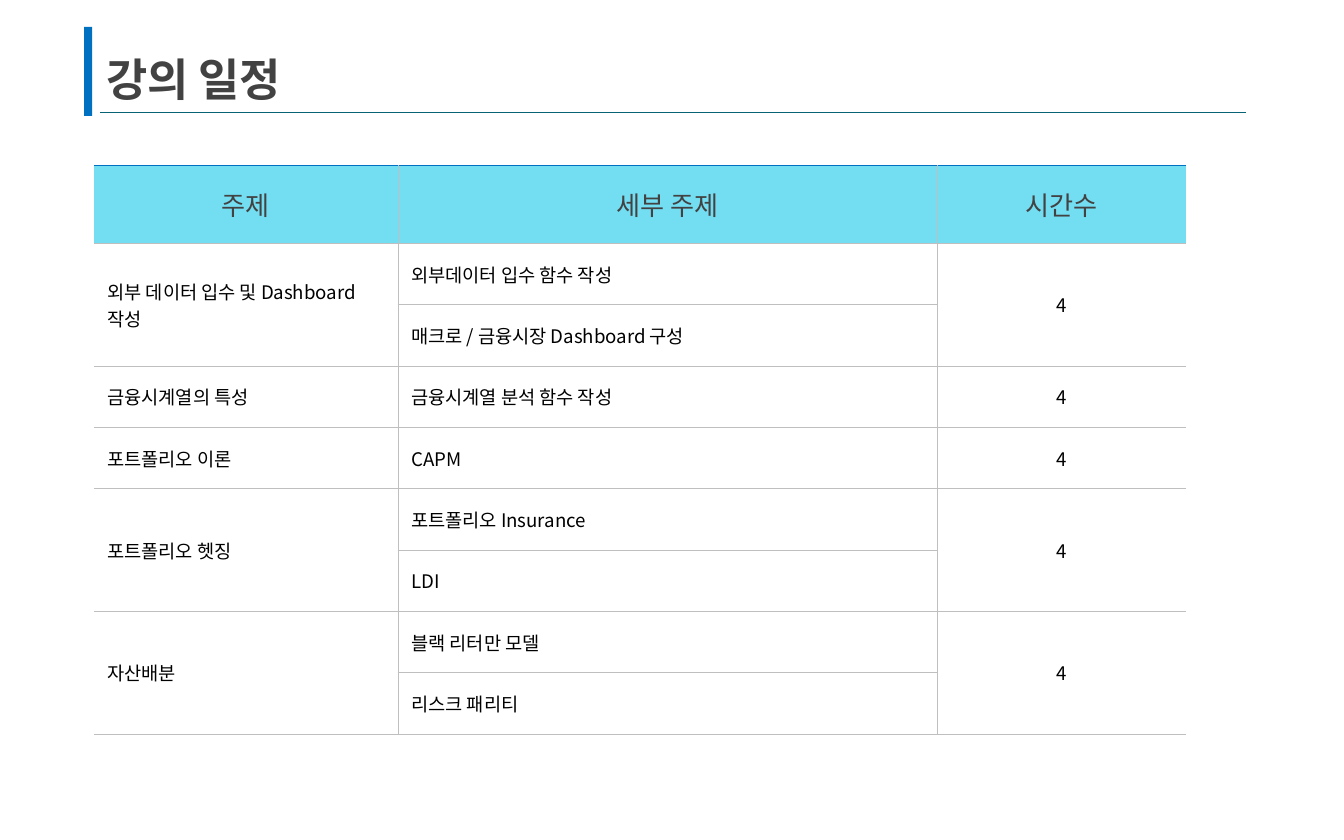
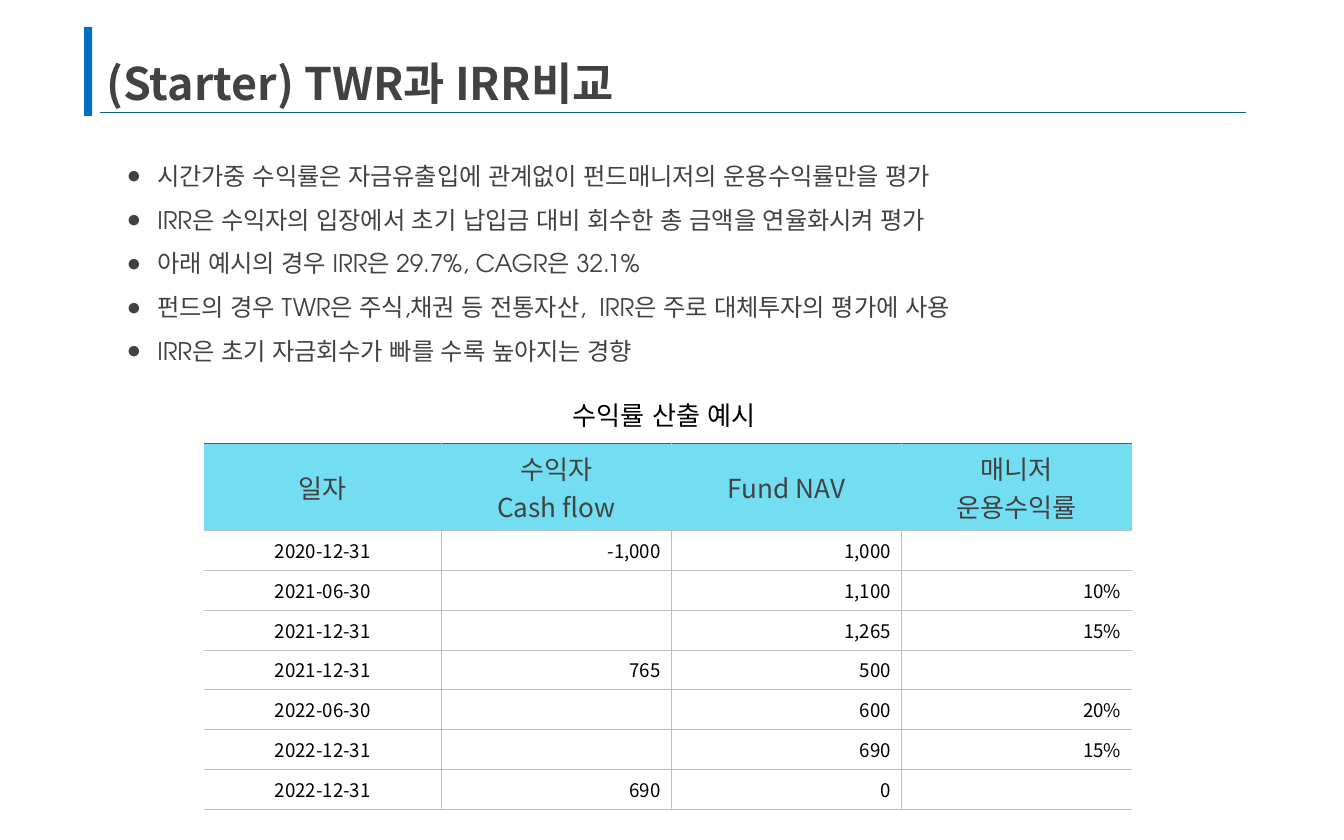
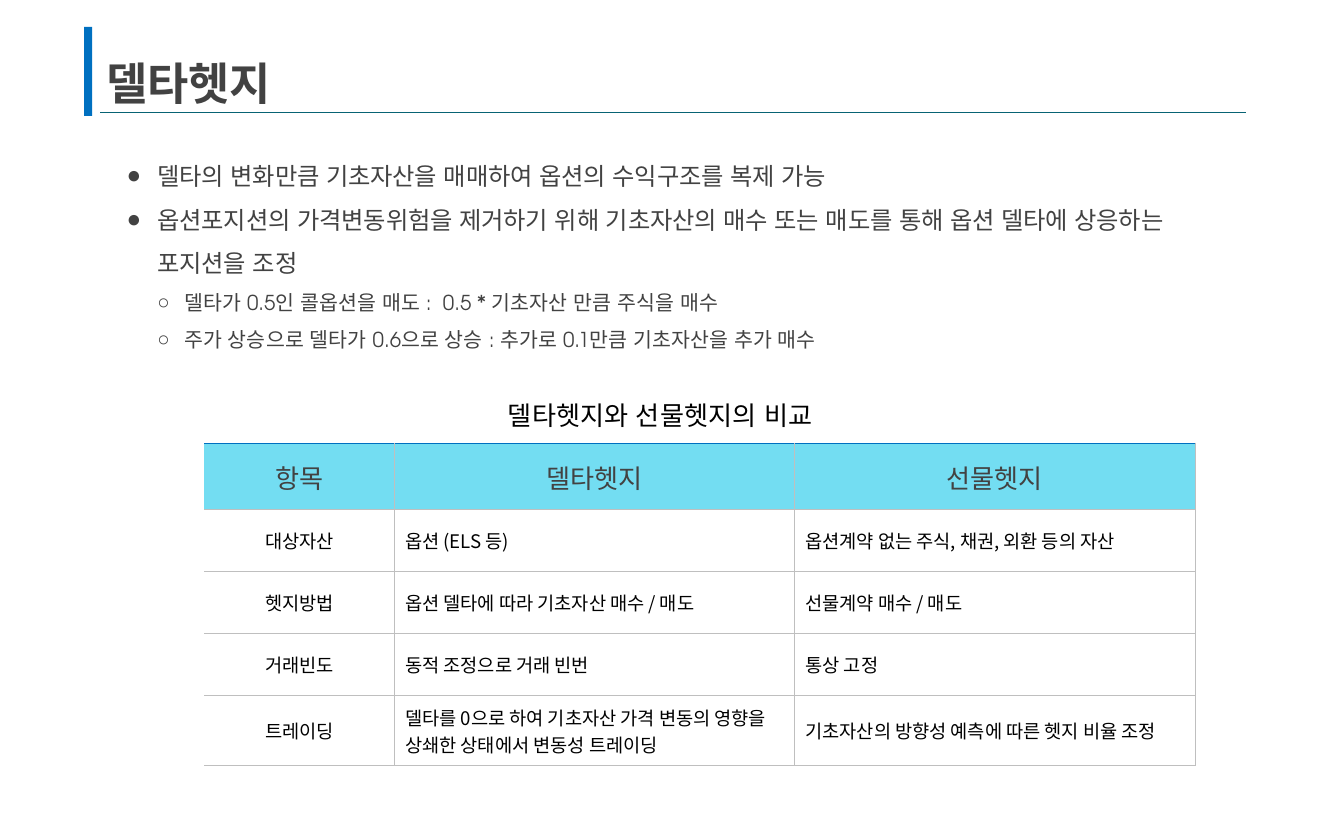
import pptx
import pptx.dml.color
import pptx.enum.shapes
import pptx.enum.text
import pptx.oxml.ns
import pptx.util
from dataclasses import dataclass
from lxml import etree

Pt = pptx.util.Pt
qn = pptx.oxml.ns.qn
ALIGN = {"l": pptx.enum.text.PP_ALIGN.LEFT,
         "c": pptx.enum.text.PP_ALIGN.CENTER,
         "r": pptx.enum.text.PP_ALIGN.RIGHT}
MIDDLE = pptx.enum.text.MSO_ANCHOR.MIDDLE
AUTO = pptx.enum.text.MSO_AUTO_SIZE


@dataclass(frozen=True)
class Theme:
    blue: str = "0070C0"
    rule: str = "086374"
    header: str = "73DDF2"
    grid: str = "BFBFBF"
    text: str = "424242"
    black: str = "000000"
    main_font: str = "Noto Sans CJK KR"
    body_font: str = "TeX Gyre Adventor"
    caption_font: str = "Arial"
    bullet_font: str = "Arial"
    title_size: int = 24
    header_size: int = 14
    cell_size: int = 10
    body_sizes: tuple = (13, 11)


T = Theme()

# Content: a merged cell is None below its first row; a line break starts a paragraph
WIDE = (7.2, 2.9)       # cell insets: sides, top and bottom
KEY, TIGHT = (2.2, 0), (5.8, 0)

SLIDES = [
    dict(
        title="강의 일정", title_top=20.2,
        table=dict(
            at=(50.4, 88.6), cols=[162.8, 289, 133.3], heights=[41.8] + [32.88] * 8,
            align="llc", insets=[WIDE] * 3, end_line=0.5, right_edge=False,
            rows=[
                ("주제", "세부 주제", "시간수"),
                ("외부 데이터 입수 및 Dashboard 작성", "외부데이터 입수 함수 작성", "4"),
                (None, "매크로 / 금융시장 Dashboard 구성", None),
                ("금융시계열의 특성", "금융시계열 분석 함수 작성", "4"),
                ("포트폴리오 이론", "CAPM", "4"),
                ("포트폴리오 헷징", "포트폴리오 Insurance", "4"),
                (None, "LDI", None),
                ("자산배분", "블랙 리터만 모델", "4"),
                (None, "리스크 패리티", None),
            ])),
    dict(
        title="(Starter) TWR과 IRR비교", title_top=22.3,
        body_height=357,
        body=[
            (0, "시간가중 수익률은 자금유출입에 관계없이 펀드매니저의 운용수익률만을 평가"),
            (0, "IRR은 수익자의 입장에서 초기 납입금 대비 회수한 총 금액을 연율화시켜 평가"),
            (0, "아래 예시의 경우 IRR은 29.7%, CAGR은 32.1%"),
            (0, "펀드의 경우 TWR은 주식,채권 등 전통자산,  IRR은 주로 대체투자의 평가에 사용"),
            (0, "IRR은 초기 자금회수가 빠를 수록 높아지는 경향"),
        ],
        caption=("수익률 산출 예시", 299.5, 121.7),
        table=dict(
            at=(109.4, 237.6), cols=[127, 123.3, 123.3, 123.3], heights=[46.6] + [21.35] * 7,
            align="crrr", insets=[KEY] + [TIGHT] * 3, end_line=1, right_edge=False,
            rows=[
                ("일자", "수익자\nCash flow", "Fund NAV", "매니저\n운용수익률"),
                ("2020-12-31", "-1,000", "1,000", ""),
                ("2021-06-30", "", "1,100", "10%"),
                ("2021-12-31", "", "1,265", "15%"),
                ("2021-12-31", "765", "500", ""),
                ("2022-06-30", "", "600", "20%"),
                ("2022-12-31", "", "690", "15%"),
                ("2022-12-31", "690", "0", ""),
            ])),
    dict(
        title="델타헷지", title_top=22.3,
        body_height=178.6,
        body=[
            (0, "델타의 변화만큼 기초자산을 매매하여 옵션의 수익구조를 복제 가능"),
            (0, "옵션포지션의 가격변동위험을 제거하기 위해 기초자산의 매수 또는 매도를 통해 "
                "옵션 델타에 상응하는 포지션을 조정"),
            (1, "델타가 0.5인 콜옵션을 매도 :  0.5 * 기초자산 만큼 주식을 매수"),
            (1, "주가 상승으로 델타가 0.6으로 상승 : 추가로 0.1만큼 기초자산을 추가 매수"),
        ],
        caption=("델타헷지와 선물헷지의 비교", 265, 192.2),
        table=dict(
            at=(109.4, 237.6), cols=[102, 214.4, 214.4], heights=[35.5] + [33.2] * 3 + [37.5],
            align="cll", insets=[KEY, TIGHT, TIGHT], end_line=1, right_edge=True,
            rows=[
                ("항목", "델타헷지", "선물헷지"),
                ("대상자산", "옵션 (ELS 등)", "옵션계약 없는 주식, 채권, 외환 등의 자산"),
                ("헷지방법", "옵션 델타에 따라 기초자산 매수 / 매도", "선물계약 매수 / 매도"),
                ("거래빈도", "동적 조정으로 거래 빈번", "통상 고정"),
                ("트레이딩", "델타를 0으로 하여 기초자산 가격 변동의 영향을 상쇄한 상태에서 변동성 트레이딩",
                 "기초자산의 방향성 예측에 따른 헷지 비율 조정"),
            ])),
]


# Helpers
def rgb(color):
    return pptx.dml.color.RGBColor.from_string(color)


def add_run(p, text, size, font, color, bold=False):
    r = p.add_run()
    r.text = text
    r.font.size, r.font.bold, r.font.name = Pt(size), bold, font
    r.font.color.rgb = rgb(color)
    r.font._element.set("kern", "0")
    etree.SubElement(r.font._element, qn("a:ea"), typeface=font)


def set_insets(frame, side, top):
    frame.margin_left = frame.margin_right = Pt(side)
    frame.margin_top = frame.margin_bottom = Pt(top)


def paragraphs(tf, count):
    return [tf.paragraphs[0]] + [tf.add_paragraph() for _ in range(count - 1)]


def set_border(cell, side, color, width):
    ln = etree.SubElement(cell._tc.get_or_add_tcPr(), qn("a:ln" + side), w=str(Pt(width)))
    if width:
        fill = etree.SubElement(ln, qn("a:solidFill"))
        etree.SubElement(fill, qn("a:srgbClr"), val=color)
    else:
        etree.SubElement(ln, qn("a:noFill"))


# Shared frame: the bar and rule sit on the layout, behind every slide
def add_frame(s, layout):
    bar = s.shapes.add_shape(pptx.enum.shapes.MSO_SHAPE.RECTANGLE,
                             Pt(45), Pt(14.4), Pt(4.4), Pt(47.8))
    bar.shadow.inherit = False
    bar.fill.solid()
    bar.fill.fore_color.rgb = rgb(T.blue)
    bar.line.fill.background()
    rule = s.shapes.add_connector(pptx.enum.shapes.MSO_CONNECTOR.STRAIGHT,
                                  Pt(53.8), Pt(60.3), Pt(667.4), Pt(60.3))
    rule.line.color.rgb = rgb(T.rule)
    rule.line.width = Pt(0.75)
    etree.SubElement(rule._element.spPr, qn("a:effectLst"))
    for shape in (bar, rule):
        layout.shapes.element.append(shape.element)


def add_title(s, text, top):
    sp = s.shapes.title
    sp.left, sp.top, sp.width, sp.height = Pt(49.7), Pt(top), Pt(599), Pt(38.9)
    tf = sp.text_frame
    tf.word_wrap, tf.auto_size, tf.vertical_anchor = True, AUTO.NONE, MIDDLE
    set_insets(tf, 7.2, 7.2)
    tf.margin_bottom = Pt(1.8)      # the text sits just above the rule
    p = tf.paragraphs[0]
    p.alignment = ALIGN["l"]
    add_run(p, text, T.title_size, T.main_font, T.text, bold=True)


def add_body(s, items, height):
    tf = s.shapes.add_textbox(Pt(49), Pt(71.3), Pt(630), Pt(height)).text_frame
    tf.word_wrap = True
    set_insets(tf, 7.2, 7.2)
    for p, (level, text) in zip(paragraphs(tf, len(items)), items):
        p.level, p.line_spacing = level, 1.5
        margin, indent, mark = [(28.2, -16.4, "●"), (42.6, -14.4, "○")][level]
        ppr = p._p.get_or_add_pPr()
        ppr.set("marL", str(Pt(margin)))
        ppr.set("indent", str(Pt(indent)))
        color = etree.SubElement(ppr, qn("a:buClr"))
        etree.SubElement(color, qn("a:srgbClr"), val=T.text)
        etree.SubElement(ppr, qn("a:buFont"), typeface=T.bullet_font)
        etree.SubElement(ppr, qn("a:buChar"), char=mark)
        add_run(p, text, T.body_sizes[level], T.body_font, T.text)


def add_caption(s, text, left, width):
    tf = s.shapes.add_textbox(Pt(left), Pt(210.2), Pt(width), Pt(24.2)).text_frame
    tf.word_wrap, tf.auto_size = False, AUTO.SHAPE_TO_FIT_TEXT
    add_run(tf.paragraphs[0], text, T.header_size, T.caption_font, T.black)


def fill_cell(cell, text, is_header, align, insets):
    cell.vertical_anchor = MIDDLE
    set_insets(cell, *insets)
    if is_header:
        cell.fill.solid()
        cell.fill.fore_color.rgb = rgb(T.header)
    else:
        cell.fill.background()
    size = T.header_size if is_header else T.cell_size
    color = T.text if is_header else T.black
    lines = (text or "").split("\n")
    for p, line in zip(paragraphs(cell.text_frame, len(lines)), lines):
        p.alignment = ALIGN[align]
        if line:
            add_run(p, line, size, T.main_font, color)
        else:
            etree.SubElement(p._p, qn("a:endParaRPr"), sz=str(size * 100))


def add_table(s, at, cols, heights, align, insets, end_line, right_edge, rows):
    table = s.shapes.add_table(len(rows), len(cols), Pt(at[0]), Pt(at[1]),
                               Pt(sum(cols)), Pt(sum(heights))).table
    table.first_row = table.horz_banding = False
    for col, width in zip(table.columns, cols):
        col.width = Pt(width)
    for row, height in zip(table.rows, heights):
        row.height = Pt(height)
    last_row, last_col = len(rows) - 1, len(cols) - 1
    for i, row in enumerate(rows):
        for j, text in enumerate(row):
            cell, is_header = table.cell(i, j), i == 0
            set_border(cell, "L", T.grid, 0.5 if j else 0)
            set_border(cell, "R", T.grid, 0.5 if j < last_col or right_edge else 0)
            set_border(cell, "T", T.blue if is_header else T.grid, 1 if is_header else 0.5)
            set_border(cell, "B", T.grid, end_line if i == last_row else 0.5)
            fill_cell(cell, text, is_header, "c" if is_header else align[j],
                      WIDE if is_header else insets[j])
            if text is None:
                table.cell(i - 1, j).merge(cell)


def main():
    prs = pptx.Presentation()
    prs.slide_width, prs.slide_height = Pt(720), Pt(450)
    layout = prs.slide_layouts[5]
    for i, data in enumerate(SLIDES):
        s = prs.slides.add_slide(layout)
        if i == 0:
            add_frame(s, layout)
        add_title(s, data["title"], data["title_top"])
        if "body" in data:
            add_body(s, data["body"], data["body_height"])
        add_table(s, **data["table"])
        if "caption" in data:
            add_caption(s, *data["caption"])
    prs.save("out.pptx")


if __name__ == "__main__":
    main()
